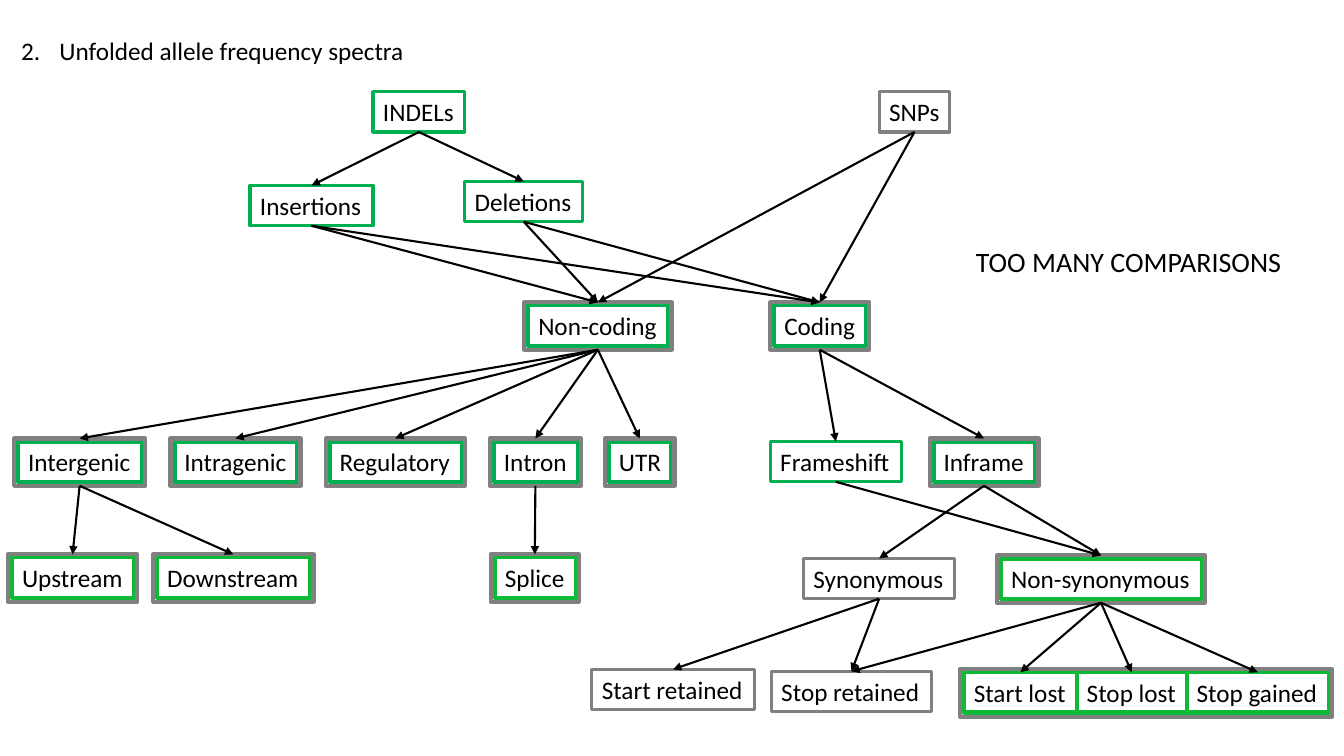
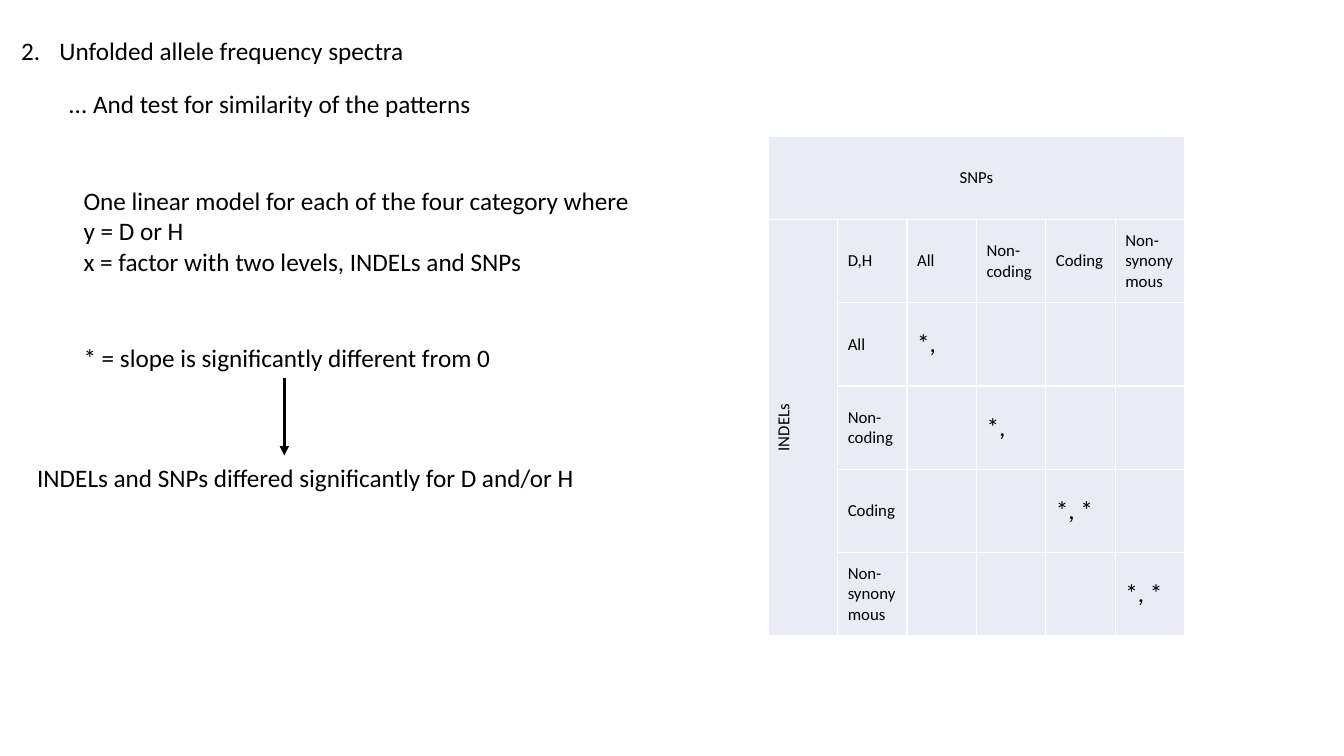
"""Build two slides on allele frequency spectra."""
import dataclasses
import typing

import pptx
import pptx.dml.color
import pptx.enum.shapes
import pptx.enum.text
import pptx.oxml
import pptx.oxml.ns
import pptx.util

Inches = pptx.util.Inches
TEXT = pptx.enum.text
FONT = "Calibri"
BLACK, WHITE, GRAY = "000000", "FFFFFF", "808080"
GREEN, LIME, PALE = "00B050", "0EBA38", "E9EBF5"
HIGH = 0.4


@dataclasses.dataclass(frozen=True)
class Style:
    """Outline of a box."""
    color: str
    weight: float
    framed: bool = False


INDEL = Style(GREEN, 2.25)
SNP = Style(GRAY, 2.25)
BOTH = Style(GREEN, 3, True)
LEAF = Style(LIME, 3, True)
PART = Style(LIME, 3)
FRAME = Style(GRAY, 3)


@dataclasses.dataclass(frozen=True)
class Node:
    """One class of variant in the tree."""
    text: str
    left: float
    top: float
    width: float
    style: Style


@dataclasses.dataclass(frozen=True)
class Note:
    """One free line of text."""
    text: str
    left: float
    top: float
    width: float
    height: float = HIGH
    size: float = 18


NODES = [
    Node("INDELs", 3.7, 0.91, 0.91, INDEL),
    Node("SNPs", 8.72, 0.91, 0.7, SNP),
    Node("Insertions", 2.48, 1.84, 1.22, INDEL),
    Node("Deletions", 4.61, 1.8, 1.17, INDEL),
    Node("Non-coding", 5.24, 3.03, 1.39, BOTH),
    Node("Coding", 7.68, 3.03, 0.91, BOTH),
    Node("Intergenic", 0.18, 4.38, 1.23, BOTH),
    Node("Intragenic", 1.73, 4.38, 1.22, BOTH),
    Node("Regulatory", 3.27, 4.38, 1.31, BOTH),
    Node("Intron", 4.9, 4.38, 0.83, BOTH),
    Node("UTR", 6.04, 4.38, 0.62, BOTH),
    Node("Frameshift", 7.64, 4.38, 1.3, INDEL),
    Node("Inframe", 9.26, 4.38, 1.01, BOTH),
    Node("Upstream", 0.12, 5.53, 1.21, LEAF),
    Node("Downstream", 1.56, 5.53, 1.52, LEAF),
    Node("Splice", 4.91, 5.53, 0.8, LEAF),
    Node("Synonymous", 7.97, 5.54, 1.5, SNP),
    Node("Non-synonymous", 9.93, 5.54, 1.99, LEAF),
    Node("Start retained", 5.87, 6.64, 1.61, SNP),
    Node("Stop retained", 7.65, 6.66, 1.59, SNP),
    Node("Start lost", 9.56, 6.67, 1.12, PART),
    Node("Stop lost", 10.68, 6.67, 1.09, PART),
    Node("Stop gained", 11.77, 6.67, 1.41, PART),
]

LINKS = {
    "INDELs": ["Insertions", "Deletions"],
    "SNPs": ["Non-coding", "Coding"],
    "Insertions": ["Non-coding", "Coding"],
    "Deletions": ["Non-coding", "Coding"],
    "Non-coding": ["Intergenic", "Intragenic", "Regulatory", "Intron", "UTR"],
    "Coding": ["Frameshift", "Inframe"],
    "Intergenic": ["Upstream", "Downstream"],
    "Intron": ["Splice"],
    "Frameshift": ["Non-synonymous"],
    "Inframe": ["Synonymous", "Non-synonymous"],
    "Synonymous": ["Start retained", "Stop retained"],
    "Non-synonymous": ["Stop retained", "Start lost", "Stop lost", "Stop gained"],
}

NOTES = [
    Note("... And test for similarity of the patterns", 0.58, 0.83, 4.24),
    Note("One linear model for each of the four category where\n"
         "y = D or H\nx = factor with two levels, INDELs and SNPs",
         0.73, 1.79, 5.68, 1.01),
    Note("* = slope is significantly different from 0", 0.73, 3.35, 4.29),
    Note("INDELs and SNPs differed significantly for D and/or H",
         0.27, 4.54, 5.59),
]

MARKS = {"All": "*,", "Non-coding": "*,", "Coding": "*, *",
         "Non-synonymous": "*, *"}


def tint(code: str) -> pptx.dml.color.RGBColor:
    """Turn a hex string into a colour."""
    return pptx.dml.color.RGBColor.from_string(code)


def apply(thing: typing.Any, vals: dict[str, typing.Any]) -> None:
    """Set each value on the thing."""
    for key, val in vals.items():
        setattr(thing, key, val)


def write(frame: typing.Any, text: str, size: float = 18) -> None:
    """Fill a text frame in the shared font."""
    frame.text = text
    for para in frame.paragraphs:
        for run in para.runs:
            apply(run.font, {"name": FONT, "size": pptx.util.Pt(size)})
            run.font.color.rgb = tint(BLACK)


def fit(frame: typing.Any) -> None:
    """Let the shape follow its unwrapped text."""
    apply(frame, {"word_wrap": False,
                  "auto_size": TEXT.MSO_AUTO_SIZE.SHAPE_TO_FIT_TEXT,
                  "vertical_anchor": TEXT.MSO_ANCHOR.TOP})


def edge(shape: typing.Any, style: Style) -> None:
    """Outline a shape."""
    shape.line.color.rgb = tint(style.color)
    shape.line.width = pptx.util.Pt(style.weight)


def label(slide: typing.Any, note: Note | Node, height: float = HIGH,
          size: float = 18) -> typing.Any:
    """Add a text box."""
    box = slide.shapes.add_textbox(Inches(note.left), Inches(note.top),
                                   Inches(note.width), Inches(height))
    write(box.text_frame, note.text, size)
    fit(box.text_frame)
    return box


def border(slide: typing.Any, left: float, top: float,
           width: float) -> typing.Any:
    """Add the gray frame around a box of the given place and width."""
    shape = slide.shapes.add_shape(
        pptx.enum.shapes.MSO_SHAPE.RECTANGLE, Inches(left - 0.04),
        Inches(top - 0.03), Inches(width + 0.07), Inches(HIGH + 0.07))
    shape.shadow.inherit = False
    shape.fill.background()
    edge(shape, FRAME)
    return shape


def arrow(slide: typing.Any, start: tuple[float, float],
          end: tuple[float, float], weight: float) -> typing.Any:
    """Add a black arrow."""
    line = slide.shapes.add_connector(
        pptx.enum.shapes.MSO_CONNECTOR.STRAIGHT,
        *(Inches(val) for val in (*start, *end)))
    edge(line, Style(BLACK, weight))
    tip = pptx.oxml.parse_xml(
        f'<a:tailEnd {pptx.oxml.ns.nsdecls("a")} type="triangle"/>')
    line.line._get_or_add_ln().append(tip)
    line._element.spPr.append(pptx.oxml.parse_xml(
        f'<a:effectLst {pptx.oxml.ns.nsdecls("a")}/>'))
    return line


def start(deck: typing.Any) -> typing.Any:
    """Add a slide with the shared numbered title."""
    slide = deck.slides.add_slide(deck.slide_layouts[5])
    title = slide.shapes.title
    apply(title, {"left": Inches(0.11), "top": Inches(0.3),
                  "width": Inches(4.04), "height": Inches(HIGH)})
    write(title.text_frame, "Unfolded allele frequency spectra")
    fit(title.text_frame)
    para = title.text_frame.paragraphs[0]
    para.alignment = TEXT.PP_ALIGN.LEFT
    props = para._p.get_or_add_pPr()
    props.set("marL", str(Inches(0.38)))
    props.set("indent", str(Inches(-0.38)))
    props.append(pptx.oxml.parse_xml(
        f'<a:buAutoNum {pptx.oxml.ns.nsdecls("a")} '
        'type="arabicPeriod" startAt="2"/>'))
    return slide


def tree(deck: typing.Any) -> None:
    """Build the slide with the tree of classes."""
    slide = start(deck)
    ends = {}
    for node in NODES:
        box = label(slide, node)
        edge(box, node.style)
        if node.style.framed:
            box = border(slide, node.left, node.top, node.width)
        ends[node.text] = box
    parts = [node for node in NODES if node.style is PART]
    border(slide, parts[0].left, parts[0].top,
           sum(node.width for node in parts))
    for head, kids in LINKS.items():
        for kid in kids:
            line = arrow(slide, (0, 0), (1, 1), 1.5)
            line.begin_connect(ends[head], 2)
            line.end_connect(ends[kid], 0)
    note = Note("TOO MANY COMPARISONS", 9.58, 2.38, 3.26, 0.44, 20)
    label(slide, note, note.height, note.size)


def grid(slide: typing.Any) -> None:
    """Add the table of tests."""
    names = list(MARKS)
    count = len(names) + 2
    table = slide.shapes.add_table(count, count, Inches(7.62), Inches(1.35),
                                   Inches(4.13), Inches(4.96)).table
    apply(table, {"first_row": False, "horz_banding": False})
    for cell in table.iter_cells():
        props = cell._tc.get_or_add_tcPr()
        for side in "LRTB":
            props.append(pptx.oxml.parse_xml(
                f'<a:ln{side} {pptx.oxml.ns.nsdecls("a")} w="12700">'
                f'<a:solidFill><a:srgbClr val="{WHITE}"/></a:solidFill>'
                f'</a:ln{side}>'))
        cell.fill.solid()
        cell.fill.fore_color.rgb = tint(PALE)
        cell.vertical_anchor = TEXT.MSO_ANCHOR.MIDDLE
    table.cell(0, 0).merge(table.cell(0, count - 1))
    table.cell(1, 0).merge(table.cell(count - 1, 0))
    for row, text in enumerate(("SNPs", "INDELs")):
        frame = table.cell(row, 0).text_frame
        write(frame, text, 12)
        frame.paragraphs[0].alignment = TEXT.PP_ALIGN.CENTER
    table.cell(1, 0)._tc.get_or_add_tcPr().set("vert", "vert270")
    write(table.cell(1, 1).text_frame, "D,H", 12)
    for spot, name in enumerate(names, 2):
        write(table.cell(1, spot).text_frame, name, 12)
        write(table.cell(spot, 1).text_frame, name, 12)
        write(table.cell(spot, spot).text_frame, MARKS[name])


def tests(deck: typing.Any) -> None:
    """Build the slide with the model and its table."""
    slide = start(deck)
    grid(slide)
    for note in NOTES:
        label(slide, note, note.height, note.size)
    arrow(slide, (2.82, 3.75), (2.82, 4.52), 2.25)


def main() -> None:
    """Build and save the deck."""
    deck = pptx.Presentation()
    apply(deck, {"slide_width": Inches(13.33), "slide_height": Inches(7.5)})
    tree(deck)
    tests(deck)
    deck.save("out.pptx")


if __name__ == "__main__":
    main()
